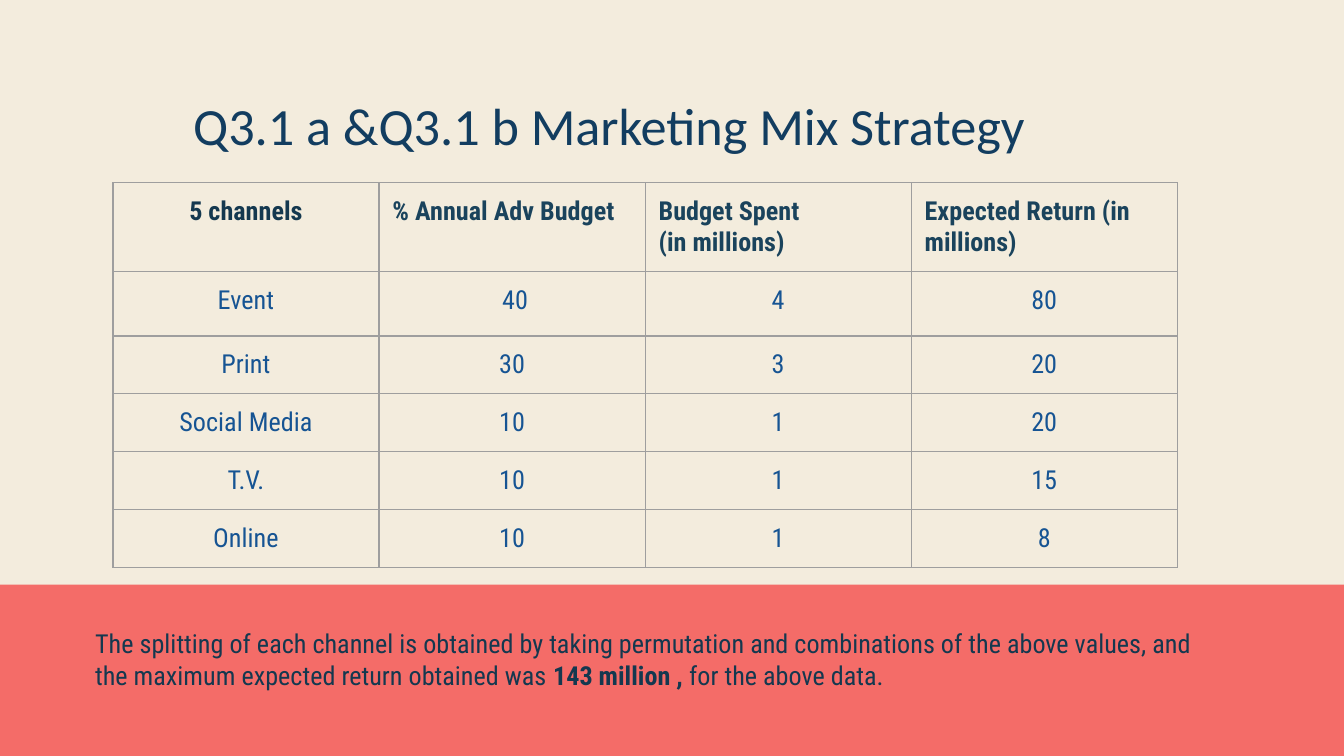
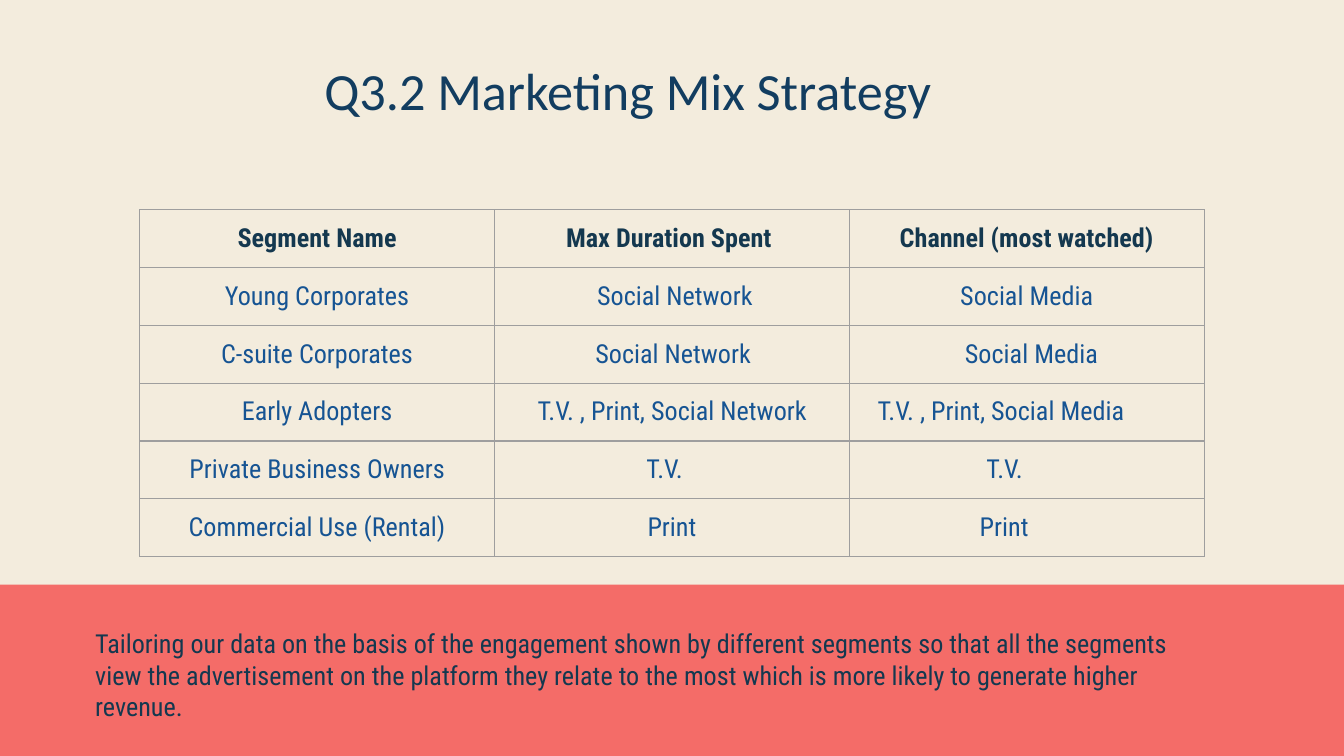
import pptx
import pptx.util
import pptx.dml.color
import pptx.enum.shapes
import pptx.enum.text
import pptx.oxml
import pptx.oxml.ns

Inches = pptx.util.Inches
Pt = pptx.util.Pt
ALIGN = pptx.enum.text.PP_ALIGN
ANCHOR = pptx.enum.text.MSO_ANCHOR

WIDE = Inches(10)
HIGH = WIDE * 9 // 16
FONT = "Roboto Condensed"
CREAM, CORAL, GREY = "F3ECDD", "F46C68", "9E9E9E"
NAVY, INK, TEAL, BLUE = "123D60", "14384F", "1A435C", "165493"
PAD = 0.1

SLIDES = [
    {
        "title": "Q3.1 a &Q3.1 b Marketing Mix Strategy",
        "title_at": (1.33, 0.48, 6.4, 0.78),
        "table_at": (0.84, 1.36),
        "width": 1.98,
        "heights": [0.56, 0.48] + [0.39] * 4,
        "rows": [
            ["5 channels", ("% Annual Adv Budget", PAD),
             ("Budget Spent\n(in millions)", PAD),
             ("Expected Return (in millions)", PAD)],
            ["Event", " 40", "4", "80"],
            ["Print", "30", "3", "20"],
            ["Social Media", "10", "1", "20"],
            ["T.V.", "10", "1", "15"],
            ["Online", "10", "1", "8"],
        ],
        "note": [
            ("The splitting of each channel is obtained by taking permutation "
             "and combinations of the above values, and the maximum expected "
             "return obtained was ", False),
            ("143 million , ", True),
            ("for the above data.", False),
        ],
    },
    {
        "title": "Q3.2 Marketing Mix Strategy",
        "title_at": (1.75, 0.42, 5.84, 0.58),
        "table_at": (1.04, 1.56),
        "width": 2.64,
        "heights": [0.42] * 6,
        "rows": [
            ["Segment Name", "Max Duration Spent ", "Channel (most watched)"],
            ["Young Corporates", " Social Network", "Social Media"],
            ["C-suite Corporates", ("Social Network", 0.75),
             ("Social Media", 0.86)],
            ["Early Adopters", ("T.V. , Print, Social Network", 0.32),
             ("T.V. , Print, Social Media", 0.21)],
            ["Private Business Owners", ("T.V.", 1.13), ("T.V.", 1.02)],
            ["Commercial Use (Rental)", "Print", ("Print", 0.97)],
        ],
        "note": [
            ("Tailoring our data on the basis of the engagement shown by "
             "different segments so that all the segments view the "
             "advertisement on the platform they relate to the most which is "
             "more likely to generate higher revenue.", False),
        ],
    },
]


def paint(target, color):
    """Set a fill's or font's solid colour from a hex string."""
    target.rgb = pptx.dml.color.RGBColor.from_string(color)


def style(run, color, bold=False, size=14, font=FONT):
    """Format one run of text."""
    run.font.name, run.font.size, run.font.bold = font, Pt(size), bold
    paint(run.font.color, color)


def setup(frame, anchor):
    """Set wrapping, anchor and insets of a text frame."""
    frame.word_wrap = True
    frame.auto_size = pptx.enum.text.MSO_AUTO_SIZE.NONE
    frame.vertical_anchor = anchor
    frame.margin_left = frame.margin_right = Inches(PAD)
    frame.margin_top = frame.margin_bottom = Inches(PAD)


def add_band(slide):
    """Draw the coral band at the foot of the slide."""
    top = Inches(4.35)
    band = slide.shapes.add_shape(
        pptx.enum.shapes.MSO_SHAPE.RECTANGLE, 0, top, WIDE, HIGH - top)
    band.shadow.inherit = False
    band.fill.solid()
    paint(band.fill.fore_color, CORAL)
    band.line.fill.background()


def add_title(slide, text, box):
    """Place and format the title."""
    title = slide.shapes.title
    title.left, title.top, title.width, title.height = map(Inches, box)
    frame = title.text_frame
    frame.text = text
    setup(frame, ANCHOR.BOTTOM)
    frame.paragraphs[0].alignment = ALIGN.CENTER
    style(frame.paragraphs[0].runs[0], NAVY, size=28, font="Calibri")


def add_rules(cell):
    """Give a cell thin grey borders."""
    props = cell._tc.get_or_add_tcPr()
    for side in ("lnL", "lnR", "lnT", "lnB"):
        props.append(pptx.oxml.parse_xml(
            f'<a:{side} {pptx.oxml.ns.nsdecls("a")} w="{Pt(0.75)}">'
            f'<a:solidFill><a:srgbClr val="{GREY}"/></a:solidFill></a:{side}>'))


def fill_cell(cell, item, head):
    """Write a cell: centred text, or a pair of left-aligned text and inset."""
    left = isinstance(item, tuple)
    text, inset = item if left else (item, PAD)
    cell.text_frame.text = text
    cell.margin_left = Inches(inset)
    cell.margin_right = cell.margin_top = cell.margin_bottom = Inches(PAD)
    color = BLUE if not head else TEAL if left else INK
    for para in cell.text_frame.paragraphs:
        para.alignment = ALIGN.LEFT if left else ALIGN.CENTER
        for run in para.runs:
            style(run, color, head)
    add_rules(cell)
    cell.fill.background()


def add_grid(slide, data):
    """Build the table."""
    rows, heights = data["rows"], data["heights"]
    count = len(rows[0])
    x, y = data["table_at"]
    table = slide.shapes.add_table(
        len(rows), count, Inches(x), Inches(y),
        Inches(data["width"] * count), Inches(sum(heights))).table
    table.first_row = table.horz_banding = False
    for col in table.columns:
        col.width = Inches(data["width"])
    for r, (row, height) in enumerate(zip(rows, heights)):
        table.rows[r].height = Inches(height)
        for c, item in enumerate(row):
            fill_cell(table.cell(r, c), item, r == 0)


def add_note(slide, parts):
    """Write the remark on the band."""
    box = slide.shapes.add_textbox(
        Inches(0.61), Inches(4.57), Inches(8.47), Inches(0.78))
    setup(box.text_frame, ANCHOR.TOP)
    para = box.text_frame.paragraphs[0]
    for text, bold in parts:
        run = para.add_run()
        run.text = text
        style(run, INK, bold)


def main():
    """Build and save the deck."""
    deck = pptx.Presentation()
    deck.slide_width, deck.slide_height = WIDE, HIGH
    for data in SLIDES:
        slide = deck.slides.add_slide(deck.slide_layouts[5])
        slide.background.fill.solid()
        paint(slide.background.fill.fore_color, CREAM)
        add_band(slide)
        add_title(slide, data["title"], data["title_at"])
        add_grid(slide, data)
        add_note(slide, data["note"])
    deck.save("out.pptx")


if __name__ == "__main__":
    main()
